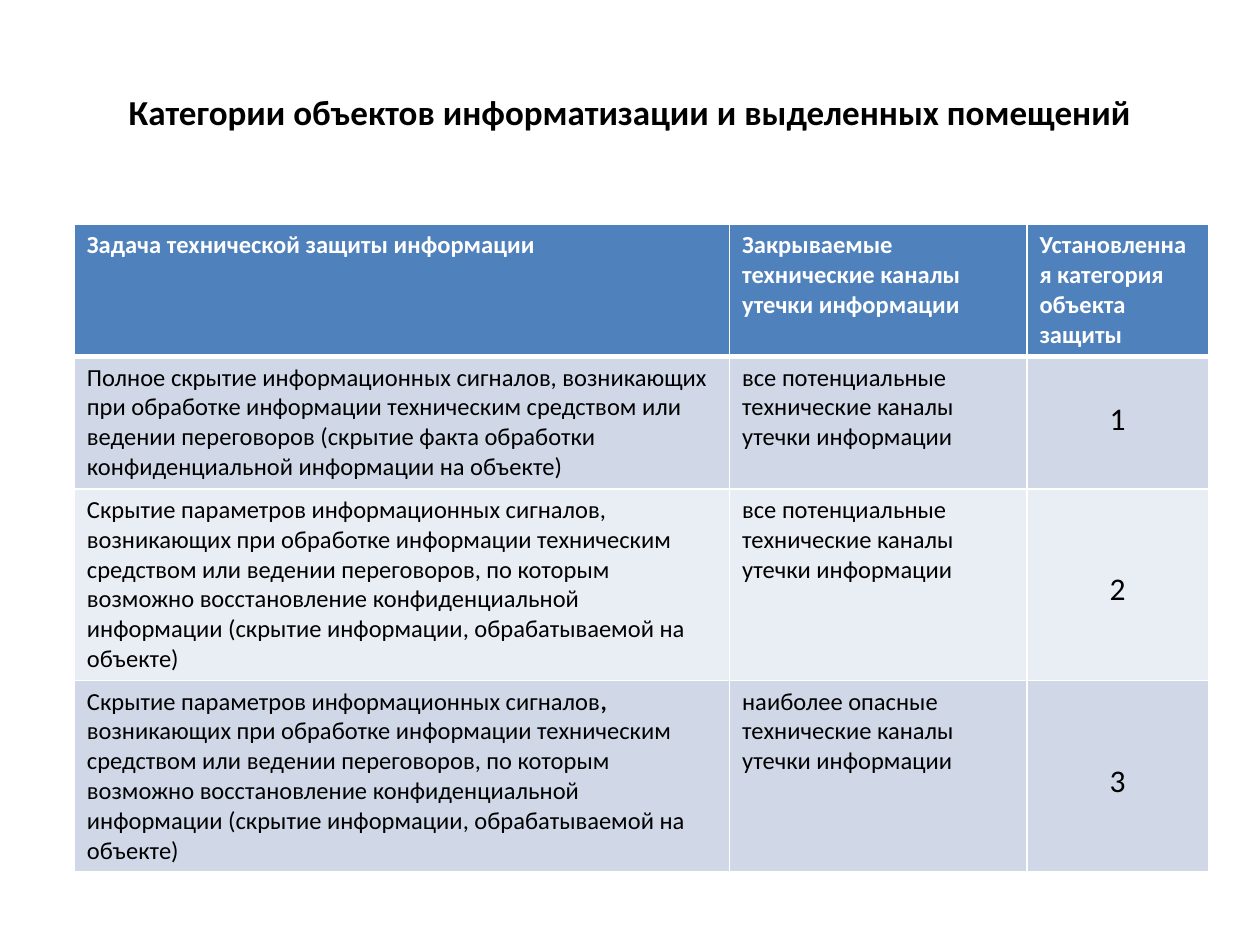
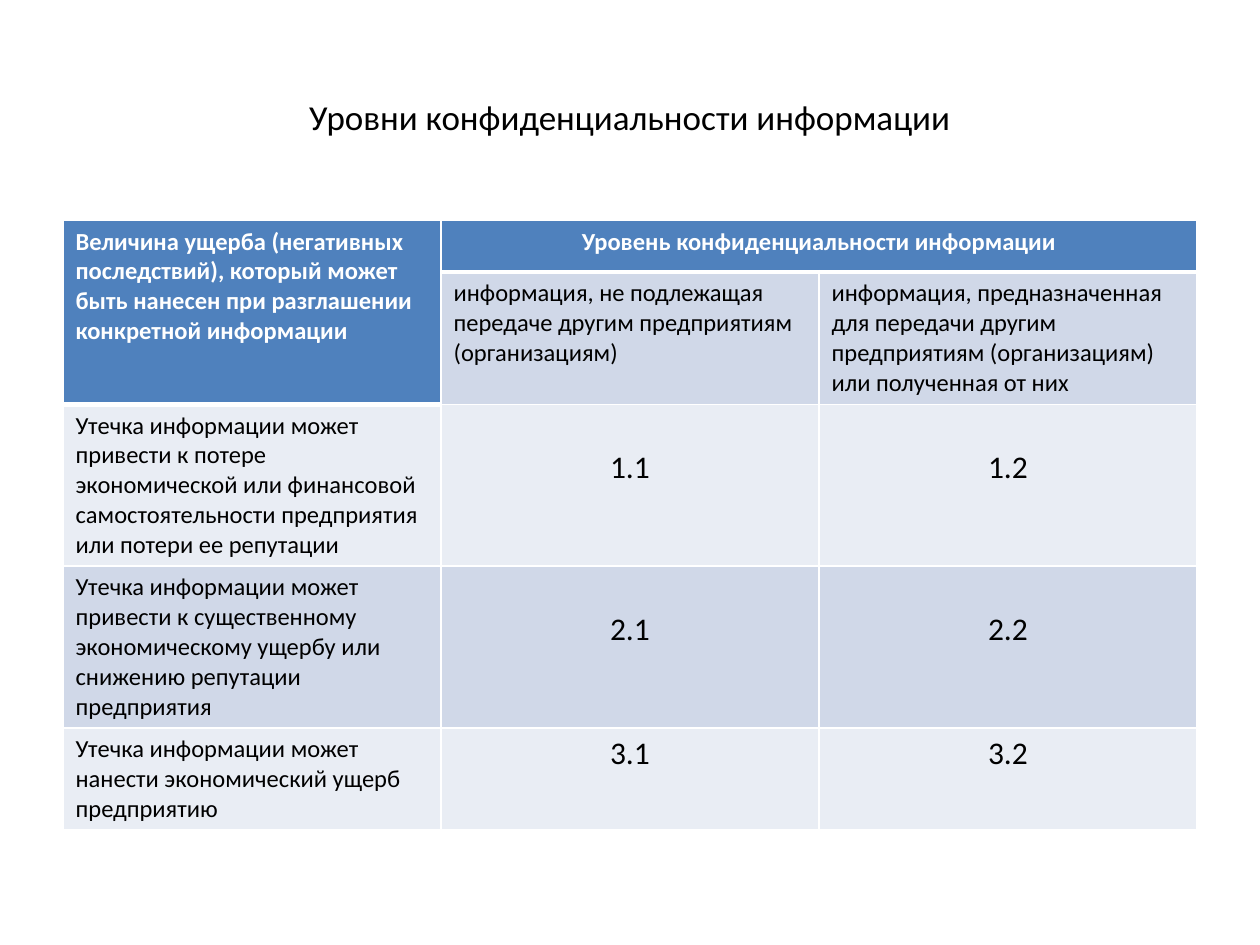
from dataclasses import dataclass

from lxml.etree import SubElement
from pptx import Presentation
from pptx.dml.color import RGBColor as Rgb
from pptx.enum.text import MSO_ANCHOR as Anchor, PP_ALIGN as Align
from pptx.oxml.ns import qn
from pptx.util import Inches, Pt


@dataclass(frozen=True)
class Theme:
    font: str = "Calibri"
    black: str = "000000"
    white: str = "FFFFFF"
    header: str = "4F81BD"
    bands: tuple = ("E9EDF4", "D0D8E8")
    title_size: int = 20
    text_size: int = 14
    number_size: int = 18
    thin_line: int = 1
    thick_line: int = 3
    cell_margin: float = 0.05
    number_line: float = 0.3


theme = Theme()


def write(frame, text, size=theme.text_size, color=theme.black, bold=False, align=Align.LEFT):
    """Fill the frame with one paragraph; asterisks enclose spans of opposite weight."""
    para = frame.paragraphs[0]
    para.alignment = align
    for index, piece in enumerate(text.split("*")):
        span = para.add_run()
        span.text = piece
        span.font.name = theme.font
        span.font.size = Pt(size)
        span.font.bold = bold != (index % 2 == 1)
        span.font.color.rgb = Rgb.from_string(color)


def add_border(cell, side, width):
    line = SubElement(cell._tc.get_or_add_tcPr(), qn(f"a:ln{side}"), w=str(Pt(width)))
    fill = SubElement(line, qn("a:solidFill"))
    SubElement(fill, qn("a:srgbClr"), val=theme.white)


parameters_task = (
    "Скрытие параметров информационных сигналов{} возникающих при обработке информации "
    "техническим средством или ведении переговоров, по которым возможно восстановление "
    "конфиденциальной информации (скрытие информации, обрабатываемой на объекте)"
)
all_channels = "все потенциальные технические каналы утечки информации"

# "lowered" counts the 18 pt lines by which numbers are moved down in each row;
# "merges" lists the first and last cell of each merged header.
slides = [
    dict(
        title="Категории объектов информатизации и выделенных помещений",
        title_bold=True,
        title_height=1.17,
        table_at=(0.59, 1.78),
        columns=(5.2, 2.36, 1.44),
        heights=(1.05, 1.05, 1.52, 1.52),
        lowered=(0, 1, 2, 2),
        merges=[],
        header_cells={(0, 0), (0, 1), (0, 2)},
        rows=[
            ("Задача технической защиты информации",
             "Закрываемые технические каналы утечки информации",
             "Установленная категория объекта защиты"),
            ("Полное скрытие информационных сигналов, возникающих при обработке информации "
             "техническим средством или ведении переговоров (скрытие факта обработки "
             "конфиденциальной информации на объекте)",
             all_channels, "1"),
            (parameters_task.format(","), all_channels, "2"),
            (parameters_task.format("*,*"),
             "наиболее опасные технические каналы утечки информации", "3"),
        ],
    ),
    dict(
        title="Уровни конфиденциальности информации",
        title_bold=False,
        title_height=1.25,
        table_at=(0.5, 1.75),
        columns=(3, 3, 3),
        heights=(0.41, 1.05, 1.28, 1.28, 0.8),
        lowered=(0, 0, 1, 1, 0),
        merges=[((0, 0), (1, 0)), ((0, 1), (0, 2))],
        header_cells={(0, 0), (1, 0), (0, 1), (0, 2)},
        rows=[
            ("Величина ущерба (негативных последствий), который может быть нанесен "
             "при разглашении конкретной информации",
             "Уровень конфиденциальности информации", ""),
            ("", "информация, не подлежащая передаче другим предприятиям (организациям)",
             "информация, предназначенная для передачи другим предприятиям "
             "(организациям) или полученная от них"),
            ("Утечка информации может привести к потере экономической или финансовой "
             "самостоятельности предприятия или потери ее репутации", "1.1", "1.2"),
            ("Утечка информации может привести к существенному экономическому ущербу "
             "или снижению репутации предприятия", "2.1", "2.2"),
            ("Утечка информации может нанести экономический ущерб предприятию", "3.1", "3.2"),
        ],
    ),
]

deck = Presentation()
deck.slide_width, deck.slide_height = Inches(10), Inches(7.5)

for content in slides:
    page = deck.slides.add_slide(deck.slide_layouts[5])
    title = page.shapes.title
    title.left, title.top = Inches(0.5), Inches(0.3)
    title.width, title.height = Inches(9), Inches(content["title_height"])
    title.text_frame.vertical_anchor = Anchor.MIDDLE
    write(title.text_frame, content["title"], size=theme.title_size,
          bold=content["title_bold"], align=Align.CENTER)

    rows, columns, heights = content["rows"], content["columns"], content["heights"]
    left, top = content["table_at"]
    table = page.shapes.add_table(len(rows), len(columns), Inches(left), Inches(top),
                                  Inches(sum(columns)), Inches(sum(heights))).table
    table.first_row = table.horz_banding = False
    for column, width in zip(table.columns, columns):
        column.width = Inches(width)
    for row, height in zip(table.rows, heights):
        row.height = Inches(height)
    for first, last in content["merges"]:
        table.cell(*first).merge(table.cell(*last))

    for r, texts in enumerate(rows):
        for c, text in enumerate(texts):
            cell = table.cell(r, c)
            is_header = (r, c) in content["header_cells"]
            is_number = text.replace(".", "").isdigit()

            for side in "LRT" if r == 0 else "LR":
                add_border(cell, side, theme.thin_line)
            add_border(cell, "B", theme.thick_line if is_header else theme.thin_line)
            cell.fill.solid()
            cell.fill.fore_color.rgb = Rgb.from_string(
                theme.header if is_header else theme.bands[r % 2])

            if is_number:
                lowered = theme.number_line * content["lowered"][r]
                cell.margin_top = Inches(theme.cell_margin + lowered)
            if text:
                spans_columns = cell.is_merge_origin and cell.span_width > 1
                write(cell.text_frame, text,
                      size=theme.number_size if is_number else theme.text_size,
                      color=theme.white if is_header else theme.black,
                      bold=is_header,
                      align=Align.CENTER if is_number or spans_columns else Align.LEFT)

deck.save("out.pptx")
